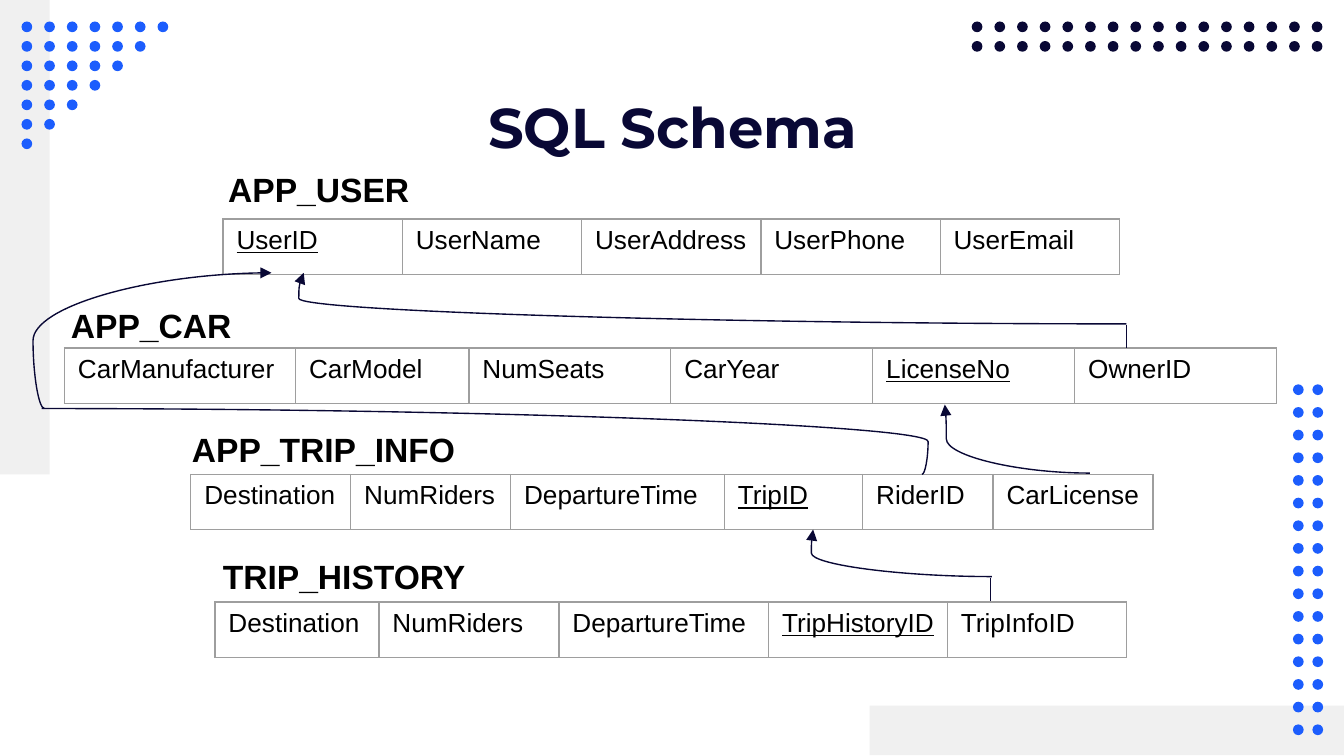
from dataclasses import dataclass

from lxml import etree
from pptx import Presentation
from pptx.dml.color import RGBColor
from pptx.enum.shapes import MSO_CONNECTOR, MSO_SHAPE
from pptx.enum.text import PP_ALIGN
from pptx.oxml.ns import qn
from pptx.shapes.connector import Connector
from pptx.slide import Slide
from pptx.util import Inches, Pt

RECTANGLE = MSO_SHAPE.RECTANGLE
OVAL = MSO_SHAPE.OVAL
STRAIGHT = MSO_CONNECTOR.STRAIGHT
CURVE = MSO_CONNECTOR.CURVE
LEFT = PP_ALIGN.LEFT
CENTER = PP_ALIGN.CENTER

NAVY, BLUE, PALE, GREY, BLACK = "090835", "1C5DFD", "F0F0F0", "9E9E9E", "000000"
DOT = 0.08
WIDE_PITCH = 2.53 / 15
NARROW_PITCH = 0.87 / 6
ROW_HEIGHT = 0.41
LINE_WIDTH = 0.75

Point = tuple[float, float]


@dataclass(frozen=True)
class DotField:
    left: float
    top: float
    row_lengths: list[int]
    pitch_x: float
    pitch_y: float
    color: str


@dataclass(frozen=True)
class Relation:
    name: str
    label_at: Point
    label_width: float
    table_at: Point
    widths: list[float]
    fields: list[str]
    key: str


@dataclass(frozen=True)
class Reference:
    start: Point
    end: Point
    bend: float
    arrow: bool = True


DOT_FIELDS = [
    DotField(0.16, 0.16, list(range(7, 0, -1)), WIDE_PITCH, NARROW_PITCH, BLUE),
    DotField(7.23, 0.16, [16] * 2, WIDE_PITCH, NARROW_PITCH, NAVY),
    DotField(9.62, 2.86, [2] * 16, NARROW_PITCH, WIDE_PITCH, BLUE),
]

RELATIONS = [
    Relation("APP_USER", (1.6, 1.21), 1.6, (1.66, 1.63), [6.67 / 5] * 5,
             ["UserID", "UserName", "UserAddress", "UserPhone", "UserEmail"], "UserID"),
    Relation("APP_CAR", (0.43, 2.22), 1.6, (0.48, 2.59), [1.72, 1.29] + [6.01 / 4] * 4,
             ["CarManufacturer", "CarModel", "NumSeats", "CarYear", "LicenseNo", "OwnerID"],
             "LicenseNo"),
    Relation("APP_TRIP_INFO", (1.33, 3.14), 2.4, (1.42, 3.53),
             [1.19, 1.19, 1.59, 1.03, 0.97, 1.19],
             ["Destination", "NumRiders", "DepartureTime", "TripID", "RiderID", "CarLicense"],
             "TripID"),
    Relation("TRIP_HISTORY", (1.56, 4.09), 2.4, (1.6, 4.48), [1.22, 1.34, 1.56, 1.33, 1.33],
             ["Destination", "NumRiders", "DepartureTime", "TripHistoryID", "TripInfoID"],
             "TripHistoryID"),
]

REFERENCES = [
    Reference((8.38, 2.41), (2.26, 2.03), 1.006),
    Reference((6.86, 3.53), (0.31, 3.04), -0.007, arrow=False),
    Reference((0.33, 3.04), (2.02, 2.03), -0.05),
    Reference((8.11, 3.52), (7.03, 3.01), 0.99),
    Reference((7.38, 4.29), (6.05, 3.94), 1.01),
]

STEMS = [((8.38, 2.42), (8.38, 2.59)), ((7.37, 4.3), (7.37, 4.47))]


def color(value: str) -> RGBColor:
    return RGBColor.from_string(value)


def draw_shape(page: Slide, kind: MSO_SHAPE, left: float, top: float,
               width: float, height: float, fill: str) -> None:
    shape = page.shapes.add_shape(kind, Inches(left), Inches(top), Inches(width), Inches(height))
    shape.shadow.inherit = False
    shape.fill.solid()
    shape.fill.fore_color.rgb = color(fill)
    shape.line.fill.background()


def draw_dots(page: Slide, field: DotField) -> None:
    for row, length in enumerate(field.row_lengths):
        for column in range(length):
            draw_shape(page, OVAL, field.left + column * field.pitch_x,
                       field.top + row * field.pitch_y, DOT, DOT, field.color)


def write(para, text: str, tint: str = BLACK, **formats) -> None:
    span = para.add_run()
    span.text = text
    for name, value in ({"name": "Arial"} | formats).items():
        setattr(span.font, name, value)
    span.font.color.rgb = color(tint)


def draw_text(page: Slide, at: Point, width: float, height: float, text: str,
              margin: float, align: PP_ALIGN, tint: str, **formats) -> None:
    box = page.shapes.add_textbox(Inches(at[0]), Inches(at[1]), Inches(width), Inches(height))
    frame = box.text_frame
    settings = {"word_wrap": True, "margin_top": Inches(margin), "margin_bottom": Inches(margin),
                "margin_left": Inches(0.1), "margin_right": Inches(0.1)}
    for name, value in settings.items():
        setattr(frame, name, value)
    para = frame.paragraphs[0]
    para.alignment = align
    write(para, text, tint, bold=True, **formats)


def border_cell(cell) -> None:
    properties = cell._tc.get_or_add_tcPr()
    for position, side in enumerate(("a:lnL", "a:lnR", "a:lnT", "a:lnB")):
        edge = etree.Element(qn(side), w=str(Pt(LINE_WIDTH)))
        fill = etree.SubElement(edge, qn("a:solidFill"))
        etree.SubElement(fill, qn("a:srgbClr"), val=GREY)
        properties.insert(position, edge)


def draw_relation(page: Slide, relation: Relation) -> None:
    left, top = relation.table_at
    table = page.shapes.add_table(1, len(relation.fields), Inches(left), Inches(top),
                                  Inches(sum(relation.widths)), Inches(ROW_HEIGHT)).table
    table.first_row = False
    table.horz_banding = False
    for column, width in zip(table.columns, relation.widths):
        column.width = Inches(width)
    for cell, field in zip(table.rows[0].cells, relation.fields):
        cell.fill.background()
        border_cell(cell)
        write(cell.text_frame.paragraphs[0], field, size=Pt(14), underline=field == relation.key)
    draw_text(page, relation.label_at, relation.label_width, 0.4, relation.name,
              0.05, LEFT, BLACK, size=Pt(18))


def draw_line(page: Slide, kind: MSO_CONNECTOR, start: Point, end: Point) -> Connector:
    line = page.shapes.add_connector(kind, *(Inches(value) for value in start + end))
    line.line.color.rgb = color(NAVY)
    line.line.width = Pt(LINE_WIDTH)
    etree.SubElement(line._element.spPr, qn("a:effectLst"))
    return line


def draw_reference(page: Slide, reference: Reference) -> None:
    start, end = reference.start, reference.end
    leftward = start[0] > end[0]
    line = draw_line(page, CURVE, *((end, start) if leftward else (start, end)))
    line.rotation = 180 if leftward else 0
    geometry = line._element.spPr.find(qn("a:prstGeom"))
    guides = geometry.find(qn("a:avLst"))
    if guides is None:
        guides = etree.SubElement(geometry, qn("a:avLst"))
    etree.SubElement(guides, qn("a:gd"), name="adj1", fmla=f"val {round(reference.bend * 100000)}")
    if reference.arrow:
        etree.SubElement(line.line._get_or_add_ln(), qn("a:tailEnd"), type="triangle")


def main() -> None:
    deck = Presentation()
    deck.slide_width = Inches(10)
    deck.slide_height = Inches(10 * 9 / 16)
    page = deck.slides.add_slide(deck.slide_layouts[6])
    draw_shape(page, RECTANGLE, 0, 0, 0.37, 3.53, PALE)
    draw_shape(page, RECTANGLE, 6.47, 5.25, 3.53, 0.37, PALE)
    for field in DOT_FIELDS:
        draw_dots(page, field)
    draw_text(page, (0.79, 0.59), 8.43, 0.63, "SQL Schema", 0.1, CENTER, NAVY,
              name="Montserrat", size=Pt(30))
    for relation in RELATIONS:
        draw_relation(page, relation)
    for reference in REFERENCES:
        draw_reference(page, reference)
    for start, end in STEMS:
        draw_line(page, STRAIGHT, start, end)
    deck.save("out.pptx")


if __name__ == "__main__":
    main()
